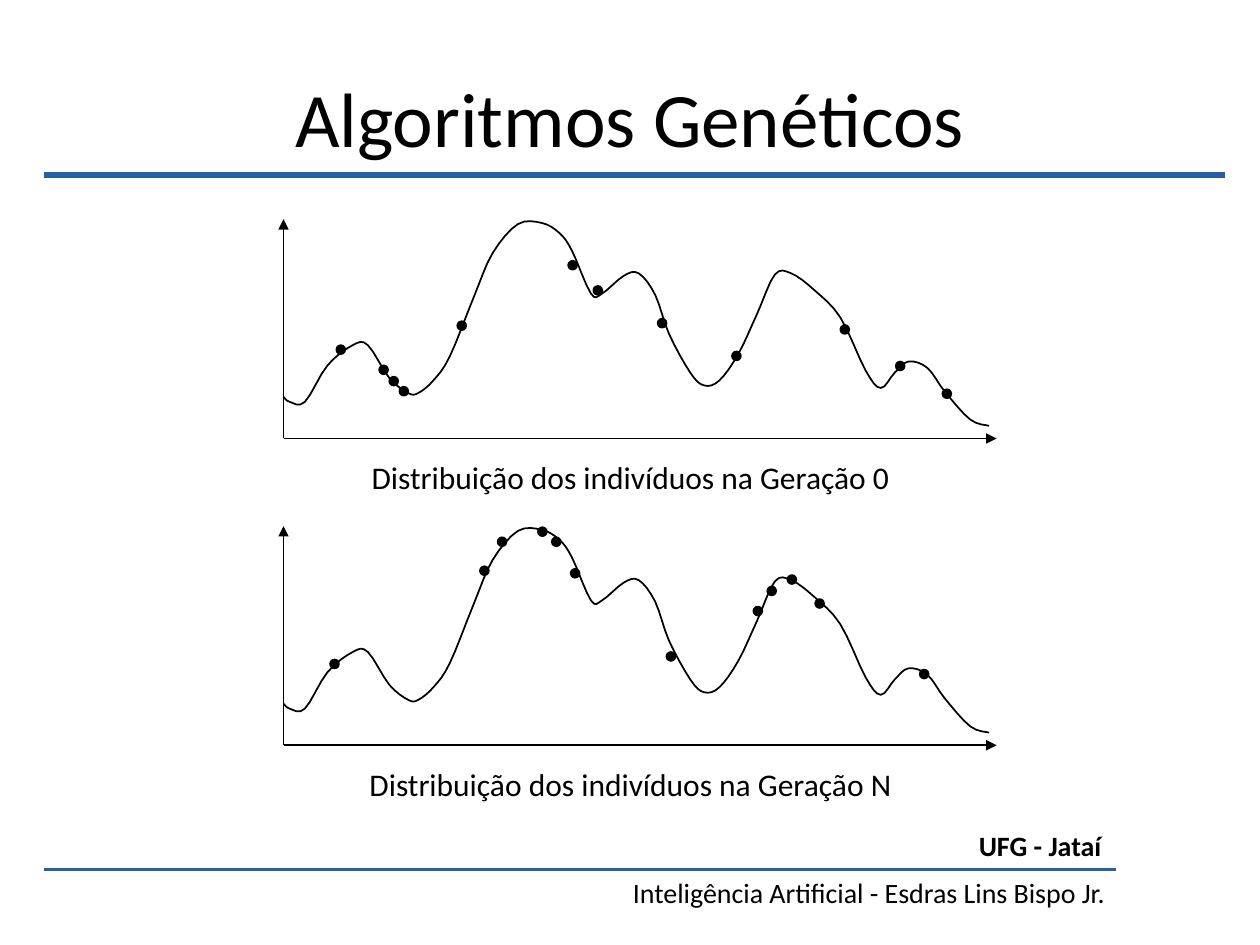
import pptx
import pptx.dml.color
import pptx.enum.shapes
import pptx.enum.text
import pptx.oxml
import pptx.oxml.ns
import pptx.util

COLORS = {"ink": "000000", "rule": "2960A3"}
FONT = "Calibri"
COLUMNS, ROWS = 1000, 750
CELL = pptx.util.Inches(10) // COLUMNS
ALIGN = pptx.enum.text.PP_ALIGN
ANCHOR = pptx.enum.text.MSO_ANCHOR
FIT = pptx.enum.text.MSO_AUTO_SIZE
SHAPES = pptx.enum.shapes

# Columns and rows from the top left of a panel.
CURVE_KNOTS = [
    (0, 141), (5, 145), (17, 145), (35, 116), (55, 100), (67, 100), (84, 126),
    (99, 138), (107, 138), (119, 128), (132, 109), (151, 62), (166, 27), (186, 4),
    (205, 3), (219, 11), (229, 25), (244, 59), (253, 59), (270, 45), (282, 43),
    (295, 60), (306, 91), (323, 122), (334, 132), (346, 128), (361, 107), (376, 75),
    (390, 44), (403, 43), (421, 56), (442, 78), (462, 120), (474, 134), (485, 122),
    (496, 113), (511, 118), (525, 137), (545, 159), (560, 164),
]
STEPS_PER_KNOT = 4
FIRST_GENERATION = [
    (138, 81), (42, 100), (76, 116), (84, 125), (92, 133), (246, 53),
    (226, 33), (297, 79), (356, 105), (442, 84), (523, 135), (486, 113),
]
LAST_GENERATION = [
    (505, 114), (422, 58), (400, 39), (384, 48), (373, 64), (304, 100),
    (228, 34), (202, 1), (213, 9), (170, 9), (156, 32), (37, 106),
]
DOT_SIZE = 7


def cells(*counts):
    """Turn counts of grid cells into lengths."""
    return [pptx.util.Emu(round(count * CELL)) for count in counts]


def color_of(name):
    return pptx.dml.color.RGBColor.from_string(COLORS[name])


def style_line(line, color="ink", width=1):
    line.color.rgb = color_of(color)
    line.width = pptx.util.Pt(width)


def add_line(page, start, end, color="ink", width=1, arrow=False):
    line = page.shapes.add_connector(
        SHAPES.MSO_CONNECTOR.STRAIGHT, *cells(*start, *end))
    style_line(line.line, color, width)
    namespace = pptx.oxml.ns.nsdecls("a")
    properties = line.element.spPr
    if arrow:
        head = pptx.oxml.parse_xml(f'<a:tailEnd {namespace} type="triangle"/>')
        properties.find(pptx.oxml.ns.qn("a:ln")).append(head)
    properties.append(pptx.oxml.parse_xml(f"<a:effectLst {namespace}/>"))


def add_text(page, box, text, size, align, bold=False, **frame_format):
    frame = page.shapes.add_textbox(*cells(*box)).text_frame
    frame_values = {"word_wrap": False, "auto_size": FIT.SHAPE_TO_FIT_TEXT}
    for name, value in (frame_values | frame_format).items():
        setattr(frame, name, value)
    para = frame.paragraphs[0]
    para.alignment = align
    span = para.add_run()
    span.text = text
    for name, value in {"name": FONT, "size": pptx.util.Pt(size), "bold": bold}.items():
        setattr(span.font, name, value)
    span.font.color.rgb = color_of("ink")


def add_header(page, box, title):
    left, top, width, height = box
    add_text(page, (50, top, 900, 125), title, 44, ALIGN.CENTER,
             word_wrap=True, auto_size=FIT.NONE, vertical_anchor=ANCHOR.MIDDLE)
    add_line(page, (left, top + height), (left + width, top + height), "rule", 3)


def blend(before, start, end, after, share):
    """Catmull-Rom value at a share of the way from start to end."""
    return start + share / 2 * (
        end - before
        + share * (2 * before - 5 * start + 4 * end - after)
        + share ** 2 * (3 * (start - end) + after - before))


def smooth_points(knots):
    padded = [knots[0], *knots, knots[-1]]
    for window in zip(padded, padded[1:], padded[2:], padded[3:]):
        for step in range(1, STEPS_PER_KNOT + 1):
            yield tuple(blend(*axis, step / STEPS_PER_KNOT) for axis in zip(*window))


def add_curve(page, left, top):
    start, *points = [cells(*point) for point in
                      (CURVE_KNOTS[0], *smooth_points(CURVE_KNOTS))]
    builder = page.shapes.build_freeform(*start)
    builder.add_line_segments(points, close=False)
    curve = builder.convert_to_shape(*cells(left, top))
    curve.shadow.inherit = False
    curve.fill.background()
    style_line(curve.line)


def add_dot(page, left, top):
    dot = page.shapes.add_shape(
        SHAPES.MSO_SHAPE.OVAL, *cells(left, top, DOT_SIZE, DOT_SIZE))
    dot.shadow.inherit = False
    dot.fill.solid()
    dot.fill.fore_color.rgb = color_of("ink")
    style_line(dot.line)


def add_panel(page, box, caption, individuals):
    """Axes, fitness curve, individuals and the caption below them."""
    left, top, width, height = box
    bottom = top + height
    add_line(page, (left, bottom), (left, top), arrow=True)
    add_line(page, (left, bottom), (left + width, bottom), arrow=True)
    add_curve(page, left, top)
    for column, row in individuals:
        add_dot(page, left + column, top + row)
    add_text(page, (left + 57, bottom + 10.5, 437, 40), caption, 18, ALIGN.CENTER)


def add_footer(page, box, school, course):
    left, top, width, height = box
    right, middle = left + width, top + height / 2
    add_line(page, (left, middle), (right, middle), "rule", 1.5)
    add_text(page, (right - 121, top, 119, height / 2), school, 16, ALIGN.RIGHT, bold=True)
    add_text(page, (right - 398, middle, 399, height / 2), course, 16, ALIGN.RIGHT)


def main():
    deck = pptx.Presentation()
    deck.slide_width, deck.slide_height = cells(COLUMNS, ROWS)
    page = deck.slides.add_slide(deck.slide_layouts[6])
    add_header(page, (35, 30, 937, 109), "Algoritmos Genéticos")
    generations = {"0": FIRST_GENERATION, "N": LAST_GENERATION}
    for index, (name, individuals) in enumerate(generations.items()):
        add_panel(page, (225, 174 + 243.5 * index, 566, 174),
                  f"Distribuição dos indivíduos na Geração {name}", individuals)
    add_footer(page, (35, 653, 851, 74), "UFG - Jataí",
               "Inteligência Artificial - Esdras Lins Bispo Jr.")
    deck.save("out.pptx")


if __name__ == "__main__":
    main()
